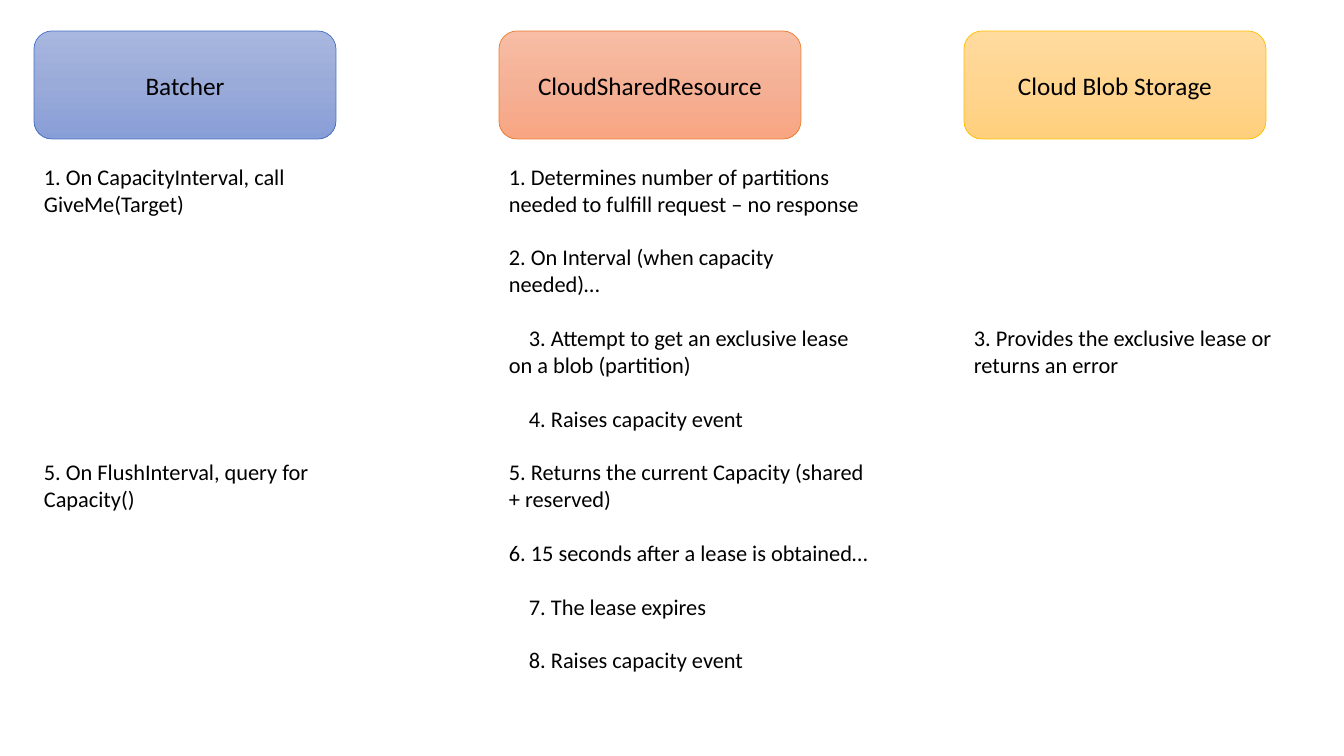
from copy import deepcopy

from pptx import Presentation
from pptx.dml.color import RGBColor
from pptx.enum.shapes import MSO_SHAPE as Preset
from pptx.enum.text import MSO_ANCHOR as Anchor, PP_ALIGN as Align
from pptx.oxml.ns import qn
from pptx.util import Pt

EMU_PER_PIXEL = 914400 / 100.8
LEFT, COLUMN_PITCH = 34, 465
HEADER_TOP, HEADER_WIDTH, HEADER_HEIGHT = 31, 302, 108
STEPS_TOP, STEPS_WIDTH = 158, 380
SUBSTEP_INDENT = 20
LINE_POINTS = 19.2

# Header, outline, gradient colours, top and height of the steps,
# then each step as (blank lines before, is a substep, wording).
ACTORS = [
    ("Batcher", "4472C4", ("A8B7DF", "9AABD9", "889ED7"), STEPS_TOP, 390, [
        (0, False, "1. On CapacityInterval, call GiveMe(Target)"),
        (9, False, "5. On FlushInterval, query for Capacity()"),
    ]),
    ("CloudSharedResource", "ED7D31", ("F7BDA5", "F5B196", "F8A582"), STEPS_TOP, 553, [
        (0, False, "1. Determines number of partitions needed to fulfill request – no response"),
        (1, False, "2. On Interval (when capacity needed)…"),
        (1, True, "3. Attempt to get an exclusive lease on a blob (partition)"),
        (1, True, "4. Raises capacity event"),
        (1, False, "5. Returns the current Capacity (shared + reserved)"),
        (1, False, "6. 15 seconds after a lease is obtained…"),
        (1, True, "7. The lease expires"),
        (1, True, "8. Raises capacity event"),
    ]),
    ("Cloud Blob Storage", "FFC000", ("FFDB9E", "FFD590", "FFD07C"), STEPS_TOP + 161, 67, [
        (0, False, "3. Provides the exclusive lease or returns an error"),
    ]),
]


def px(pixels):
    """Turn whole pixels into EMU."""
    return round(pixels * EMU_PER_PIXEL)


def rgb(hex_colour):
    """Turn a hex string into a colour."""
    return RGBColor.from_string(hex_colour)


def set_font(paragraph, points):
    """Give a paragraph the slide's font at one size."""
    font = paragraph.font
    font.name, font.size = "Calibri", Pt(points)
    font.color.rgb = rgb("000000")


def fill_gradient(shape, colours):
    """Fill a shape with three evenly spaced colours from top to bottom."""
    shape.fill.gradient()
    shape.fill.gradient_angle = 270
    first_stop = next(shape._element.spPr.iter(qn("a:gs")))
    first_stop.addnext(deepcopy(first_stop))
    for index, (stop, colour) in enumerate(zip(shape.fill.gradient_stops, colours)):
        stop.position = index / 2
        stop.color.rgb = rgb(colour)


def add_header(slide, left, title, outline, colours):
    """Draw the rounded box that names an actor."""
    header = slide.shapes.add_shape(
        Preset.ROUNDED_RECTANGLE,
        px(left), px(HEADER_TOP), px(HEADER_WIDTH), px(HEADER_HEIGHT))
    header.shadow.inherit = False
    fill_gradient(header, colours)
    header.line.color.rgb = rgb(outline)
    header.line.width = Pt(0.5)
    header.text_frame.vertical_anchor = Anchor.MIDDLE
    label = header.text_frame.paragraphs[0]
    label.text = title
    label.alignment = Align.CENTER
    set_font(label, 18)


def add_steps(slide, left, top, height, steps):
    """Write the steps of one actor, spaced by whole lines."""
    frame = slide.shapes.add_textbox(
        px(left), px(top), px(STEPS_WIDTH), px(height)).text_frame
    frame.word_wrap = True
    for index, (blank_lines, is_substep, wording) in enumerate(steps):
        step = frame.add_paragraph() if index else frame.paragraphs[0]
        step.text = wording
        set_font(step, 16)
        step.space_before = Pt(blank_lines * LINE_POINTS)
        if is_substep:
            step._p.get_or_add_pPr().set("indent", str(px(SUBSTEP_INDENT)))


def main():
    """Build the slide and save it."""
    deck = Presentation()
    deck.slide_width, deck.slide_height = px(1344), px(756)
    slide = deck.slides.add_slide(deck.slide_layouts[6])
    for column, (title, outline, colours, top, height, steps) in enumerate(ACTORS):
        left = LEFT + column * COLUMN_PITCH
        add_header(slide, left, title, outline, colours)
        add_steps(slide, left, top, height, steps)
    deck.save("out.pptx")


main()
